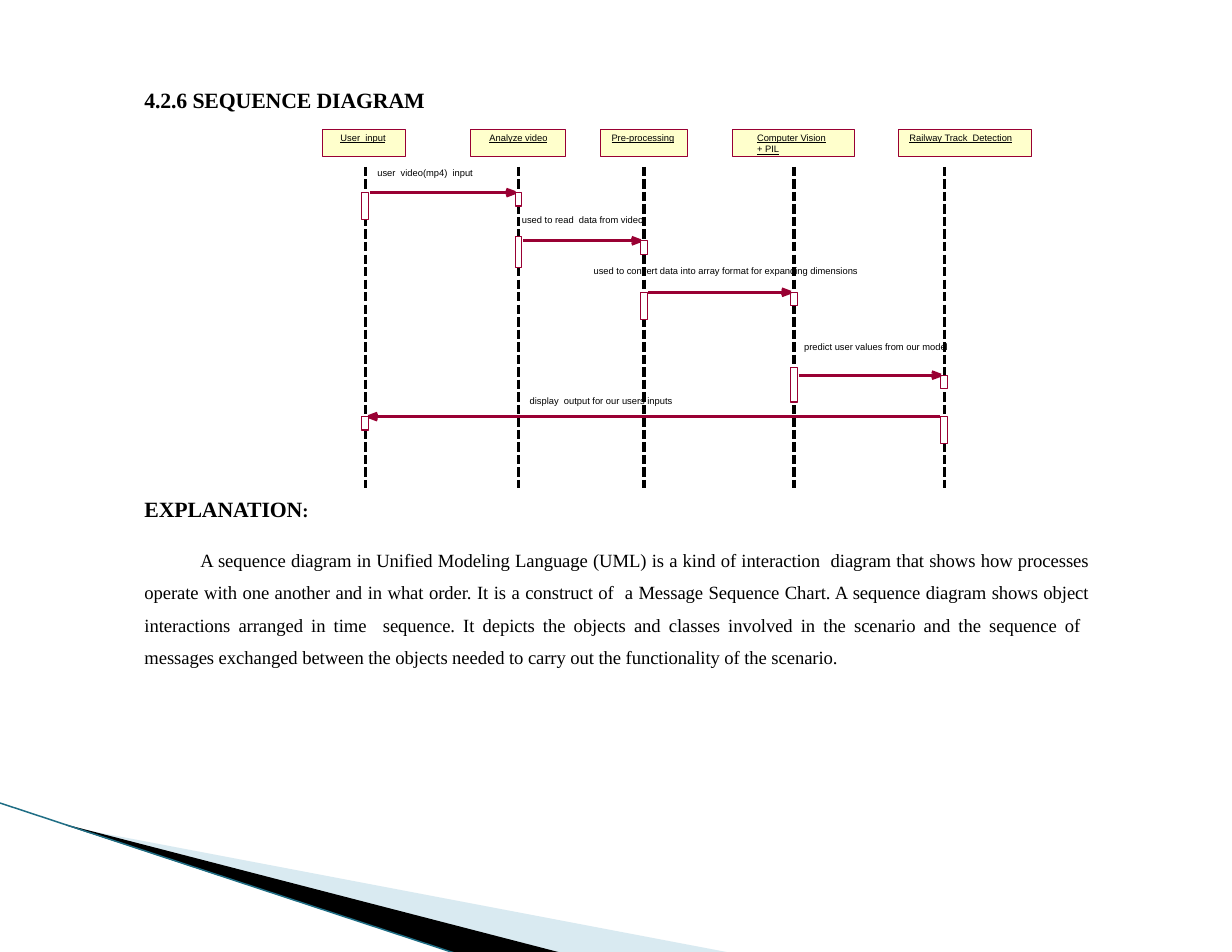
"""Build the sequence diagram slide with its explanation."""
from lxml import etree
from pptx import Presentation
from pptx import util as u
from pptx.dml.color import RGBColor
from pptx.enum import dml, shapes, text
from pptx.oxml.ns import qn

COLORS = {"ink": "000000", "maroon": "990033", "cream": "FFFFCC",
          "white": "FFFFFF", "pale": "A0CBDC", "teal": "1F6E85"}
WIDTH, HEIGHT = 11, 8.5
MARGIN, BODY_WIDTH = 1.28, 8.45
HEAD_TOP, HEAD_HEIGHT = 1.16, 0.24
LIFE_TOP, LIFE_END = 1.49, 4.36
BAR_WIDTH, BAR_SHORT = 0.06, 0.12
BARB = (0.08, 0.03)

TITLE = "4.2.6 SEQUENCE DIAGRAM"
EXPLANATION = (
    "A sequence diagram in Unified Modeling Language (UML) is a kind of interaction  diagram "
    "that shows how processes operate with one another and in what order. It is a construct of  "
    "a Message Sequence Chart. A sequence diagram shows object interactions arranged in time  "
    "sequence. It depicts the objects and classes involved in the scenario and the sequence of  "
    "messages exchanged between the objects needed to carry out the functionality of the scenario.")

# name lines, lifeline x, head left, head width, name left
PARTICIPANTS = [
    (["User  input"], 3.26, 2.88, 0.74, 3.04),
    (["Analyze video"], 4.63, 4.2, 0.85, 4.37),
    (["Pre-processing"], 5.75, 5.36, 0.78, 5.46),
    (["Computer Vision", "+ PIL"], 7.09, 6.54, 1.09, 6.76),
    (["Railway Track  Detection"], 8.43, 8.02, 1.19, 8.12),
]
MESSAGES = [
    dict(label="user  video(mp4)  input", ends=(0, 1), y=1.72, bar=(1.72, 0.24), at=(3.37, 1.49)),
    dict(label="used to read  data from video", ends=(1, 2), y=2.15, bar=(2.11, 0.28),
         at=(4.66, 1.91)),
    dict(label="used to convert data into array format for expanding dimensions", ends=(2, 3),
         y=2.61, bar=(2.61, 0.24), at=(5.3, 2.37)),
    dict(label="predict user values from our model", ends=(3, 4), y=3.35, bar=(3.28, 0.31),
         at=(7.18, 3.05)),
    dict(label="display  output for our users inputs", ends=(4, 0), y=3.72, bar=(3.72, 0.24),
         at=(4.73, 3.53)),
]
WEDGES = [
    ("pale", 40, [(0.6, 7.38), (6.54, 8.51), (5.01, 8.51), (0.6, 7.37)]),
    ("ink", 100, [(0.58, 7.36), (5.02, 8.51), (4.09, 8.52), (0.59, 7.37)]),
]

deck = Presentation()
deck.slide_width, deck.slide_height = u.Inches(WIDTH), u.Inches(HEIGHT)
slide = deck.slides.add_slide(deck.slide_layouts[6])


def rgb(name):
    return RGBColor.from_string(COLORS[name])


def write(paragraphs, left, top, width, height, wrap=True, inset=0):
    box = slide.shapes.add_textbox(*map(u.Inches, (left, top, width, height)))
    frame = box.text_frame
    frame.word_wrap = wrap
    frame.margin_left = frame.margin_right = frame.margin_bottom = 0
    frame.margin_top = u.Inches(inset)
    for number, (words, style) in enumerate(paragraphs):
        paragraph = frame.add_paragraph() if number else frame.paragraphs[0]
        format_text(paragraph, words, **style)


def format_text(paragraph, words, size=6, font="Arial", bold=False, underline=False,
                tracking=0, align=text.PP_ALIGN.LEFT, indent=0, before=0, spacing=None):
    paragraph.alignment = align
    if indent:
        paragraph._p.get_or_add_pPr().set("indent", str(u.Inches(indent)))
    if before:
        paragraph.space_before = u.Pt(before)
    if spacing:
        paragraph.line_spacing = spacing
    for part, part_size in words if isinstance(words, list) else [(words, size)]:
        run = paragraph.add_run()
        run.text = part
        run.font.size, run.font.name = u.Pt(part_size), font
        run.font.bold, run.font.underline = bold, underline
        run.font.color.rgb = rgb("ink")
        if tracking:
            run._r.get_or_add_rPr().set("spc", str(tracking))


def draw_line(start, end, color="maroon", weight=0, dash=None):
    line = slide.shapes.add_connector(shapes.MSO_CONNECTOR.STRAIGHT,
                                      *map(u.Inches, (*start, *end)))
    line.line.color.rgb = rgb(color)
    line.line.width = u.Pt(weight)
    if dash:
        line.line.dash_style = dash
    etree.SubElement(line._element.spPr, qn("a:effectLst"))


def draw_box(left, top, width, height, fill):
    box = slide.shapes.add_shape(shapes.MSO_SHAPE.RECTANGLE,
                                 *map(u.Inches, (left, top, width, height)))
    box.shadow.inherit = False
    box.fill.solid()
    box.fill.fore_color.rgb = rgb(fill)
    box.line.color.rgb = rgb("maroon")
    box.line.width = 0


def draw_wedge(color, opacity, points):
    corners = [(u.Inches(x), u.Inches(y)) for x, y in points]
    outline = slide.shapes.build_freeform(*corners[0], scale=1.0)
    outline.add_line_segments(corners[1:], close=True)
    wedge = outline.convert_to_shape()
    wedge.shadow.inherit = False
    wedge.fill.solid()
    wedge.fill.fore_color.rgb = rgb(color)
    wedge.line.fill.background()
    if opacity < 100:
        shade = wedge._element.spPr.find(".//" + qn("a:srgbClr"))
        etree.SubElement(shade, qn("a:alpha")).set("val", str(opacity * 1000))


def draw_participant(names, x, left, width, name_left):
    draw_box(left, HEAD_TOP, width, HEAD_HEIGHT, "cream")
    write([(name, dict(underline=True)) for name in names],
          name_left, HEAD_TOP + 0.02, left + width - name_left, 0.1 * len(names), wrap=False)
    draw_line((x, LIFE_TOP), (x, LIFE_END), "ink", dash=dml.MSO_LINE.SQUARE_DOT)


def draw_message(label, ends, y, bar, at):
    sender, receiver = (PARTICIPANTS[end][1] for end in ends)
    step = 1 if receiver > sender else -1
    draw_box(sender - BAR_WIDTH / 2, bar[0], BAR_WIDTH, bar[1], "white")
    draw_box(receiver - BAR_WIDTH / 2, y, BAR_WIDTH, BAR_SHORT, "white")
    tip = receiver - step * BAR_WIDTH / 2
    draw_line((sender + step * 0.04, y), (tip, y))
    for side in (1, -1):
        draw_line((tip, y), (tip - step * BARB[0], y + side * BARB[1]))
    write([(label, {})], *at, 0.042 * len(label), 0.1, wrap=False)


for wedge_parts in WEDGES:
    draw_wedge(*wedge_parts)
draw_line((0, 7.17), (4.09, 8.52), "teal", 0.95)

heading = dict(size=14, font="Times New Roman", bold=True, tracking=-10)
body = dict(size=12, font="Times New Roman", tracking=-5, indent=0.5, before=10.9,
            spacing=1.44, align=text.PP_ALIGN.JUSTIFY)
write([(TITLE, heading)], MARGIN + 0.01, 0.75, 3.3, 0.25, inset=0.02)
write([([("EXPLANATION", 14), (":", 12)], heading), (EXPLANATION, body)],
      MARGIN + 0.01, 4.41, BODY_WIDTH - 0.01, 1.57, inset=0.02)

for participant in PARTICIPANTS:
    draw_participant(*participant)
for message in MESSAGES:
    draw_message(**message)

deck.save("out.pptx")
